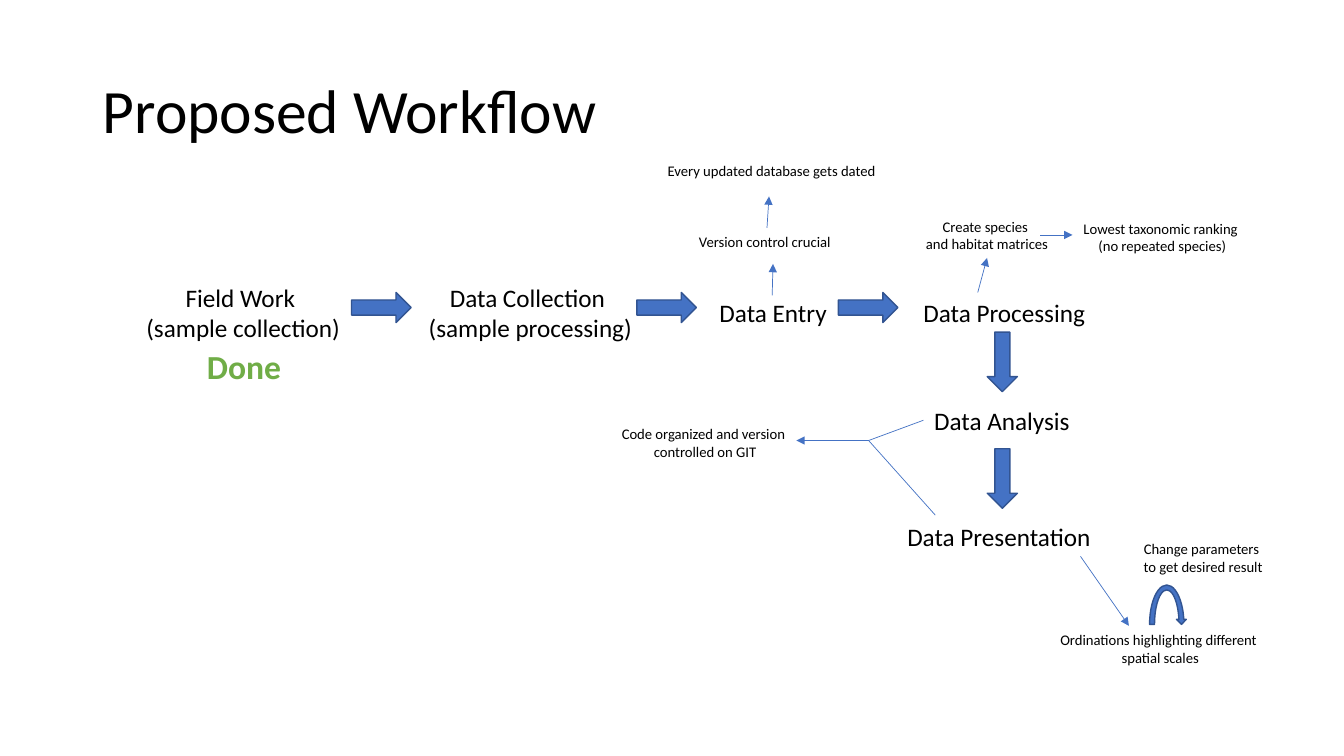
from pptx import Presentation
from pptx.dml.color import RGBColor
from pptx.enum.shapes import MSO_CONNECTOR, MSO_SHAPE
from pptx.enum.text import MSO_ANCHOR, MSO_AUTO_SIZE, PP_ALIGN
from pptx.oxml.ns import qn
from pptx.util import Cm, Pt
from lxml.etree import SubElement

FONT = "Calibri"
BLACK, BLUE, DARK_BLUE, GREEN = "000000", "4472C4", "325491", "70AD47"
STEP_SIZE, NOTE_SIZE = 18, 10.5
ARROW_WIDTH, ARROW_HEIGHT = 1.5, 0.76
STEP_ARROW_TOP = 7.37
DOWN_ARROW_LEFT = 24.51


def color(value):
    return RGBColor.from_string(value)


def add_text(slide, text, left, top, width, height, size,
             font_color=BLACK, bold=False, wrap=False, align=PP_ALIGN.CENTER):
    shape = slide.shapes.add_textbox(Cm(left), Cm(top), Cm(width), Cm(height))
    frame = shape.text_frame
    frame.text = text
    frame.word_wrap = wrap
    frame.auto_size = MSO_AUTO_SIZE.SHAPE_TO_FIT_TEXT
    for paragraph in frame.paragraphs:
        paragraph.alignment = align
        for run in paragraph.runs:
            run.font.name = FONT
            run.font.size = Pt(size)
            run.font.bold = bold
            run.font.color.rgb = color(font_color)
    return shape


def add_title(slide, text):
    shape = add_text(slide, text, 2.34, 1.02, 29.21, 3.68, 44,
                     wrap=True, align=PP_ALIGN.LEFT)
    shape.text_frame.auto_size = MSO_AUTO_SIZE.NONE
    shape.text_frame.vertical_anchor = MSO_ANCHOR.MIDDLE
    shape.text_frame.paragraphs[0].line_spacing = 0.9


def add_step(slide, text, left, top, width, height=1.02):
    return add_text(slide, text, left, top, width, height, STEP_SIZE)


def add_note(slide, text, left, top, width, height=1.14):
    return add_text(slide, text, left, top, width, height, NOTE_SIZE)


def add_block_arrow(slide, left, top, width=ARROW_WIDTH, height=ARROW_HEIGHT,
                    kind=MSO_SHAPE.RIGHT_ARROW, rotation=0):
    shape = slide.shapes.add_shape(kind, Cm(left), Cm(top), Cm(width), Cm(height))
    shape.rotation = rotation
    shape.shadow.inherit = False
    shape.fill.solid()
    shape.fill.fore_color.rgb = color(BLUE)
    shape.line.color.rgb = color(DARK_BLUE)
    shape.line.width = Pt(1)


def add_line(slide, start, end, arrowhead=True):
    connector = slide.shapes.add_connector(
        MSO_CONNECTOR.STRAIGHT, *(Cm(value) for value in start + end))
    connector.line.color.rgb = color(BLUE)
    connector.line.width = Pt(0.5)
    if arrowhead:
        SubElement(connector.line._get_or_add_ln(), qn("a:tailEnd"), type="triangle")
    SubElement(connector._element.spPr, qn("a:effectLst"))
    return connector


def main():
    presentation = Presentation()
    presentation.slide_width, presentation.slide_height = Cm(33.87), Cm(19.05)
    slide = presentation.slides.add_slide(presentation.slide_layouts[6])

    add_title(slide, "Proposed Workflow")

    add_step(slide, "Field Work \n(sample collection)", 3.4, 6.99, 5.46, 1.8)
    add_step(slide, "Data Collection \n(sample processing)", 10.52, 6.99, 5.69, 1.8)
    add_step(slide, "Data Entry", 17.86, 7.37, 3.25)
    add_step(slide, "Data Processing ", 22.99, 7.37, 4.78)
    analysis = add_step(slide, "Data Analysis", 23.27, 10.08, 3.96)
    add_step(slide, "Data Presentation ", 22.58, 13, 5.33)
    add_text(slide, "Done", 4.65, 8.59, 3, 1.27, 24, GREEN, bold=True, wrap=True)

    for left in (8.86, 16.05, 21.13):
        add_block_arrow(slide, left, STEP_ARROW_TOP)
    for top in (8.74, 11.68):
        add_block_arrow(slide, DOWN_ARROW_LEFT, top, rotation=90)
    add_block_arrow(slide, 28.91, 14.68, 0.99, 2.11, MSO_SHAPE.CIRCULAR_ARROW)

    add_note(slide, "Every updated database gets dated", 16.51, 3.96, 5.87, 0.71)
    add_note(slide, "Version control crucial", 17.32, 5.74, 3.91, 0.71)
    matrices = add_note(slide, "Create species \nand habitat matrices", 23.06, 5.36, 3.63)
    add_note(slide, "Lowest taxonomic ranking\n (no repeated species)", 27, 5.41, 4.5)
    add_note(slide, "Code organized and version \ncontrolled on GIT", 15.37, 10.59, 4.8)
    add_note(slide, "Change parameters\n to get desired result", 28.45, 13.49, 3.66)
    add_note(slide, "Ordinations highlighting different \nspatial scales",
             26.37, 15.77, 5.74)

    add_line(slide, (19.46, 7.44), (19.48, 6.65))
    add_line(slide, (19.33, 5.74), (19.38, 4.95))
    add_line(slide, (24.64, 7.37), (24.87, 6.5)).end_connect(matrices, 2)
    add_line(slide, (26.21, 5.92), (27.03, 5.92))
    add_line(slide, (27.23, 14.02), (28.45, 15.77))

    code_junction = (21.89, 11.1)
    add_line(slide, (23.27, 10.59), code_junction, False).begin_connect(analysis, 1)
    add_line(slide, (23.57, 12.98), code_junction, False)
    add_line(slide, code_junction, (20.07, 11.1))

    presentation.save("out.pptx")


if __name__ == "__main__":
    main()
